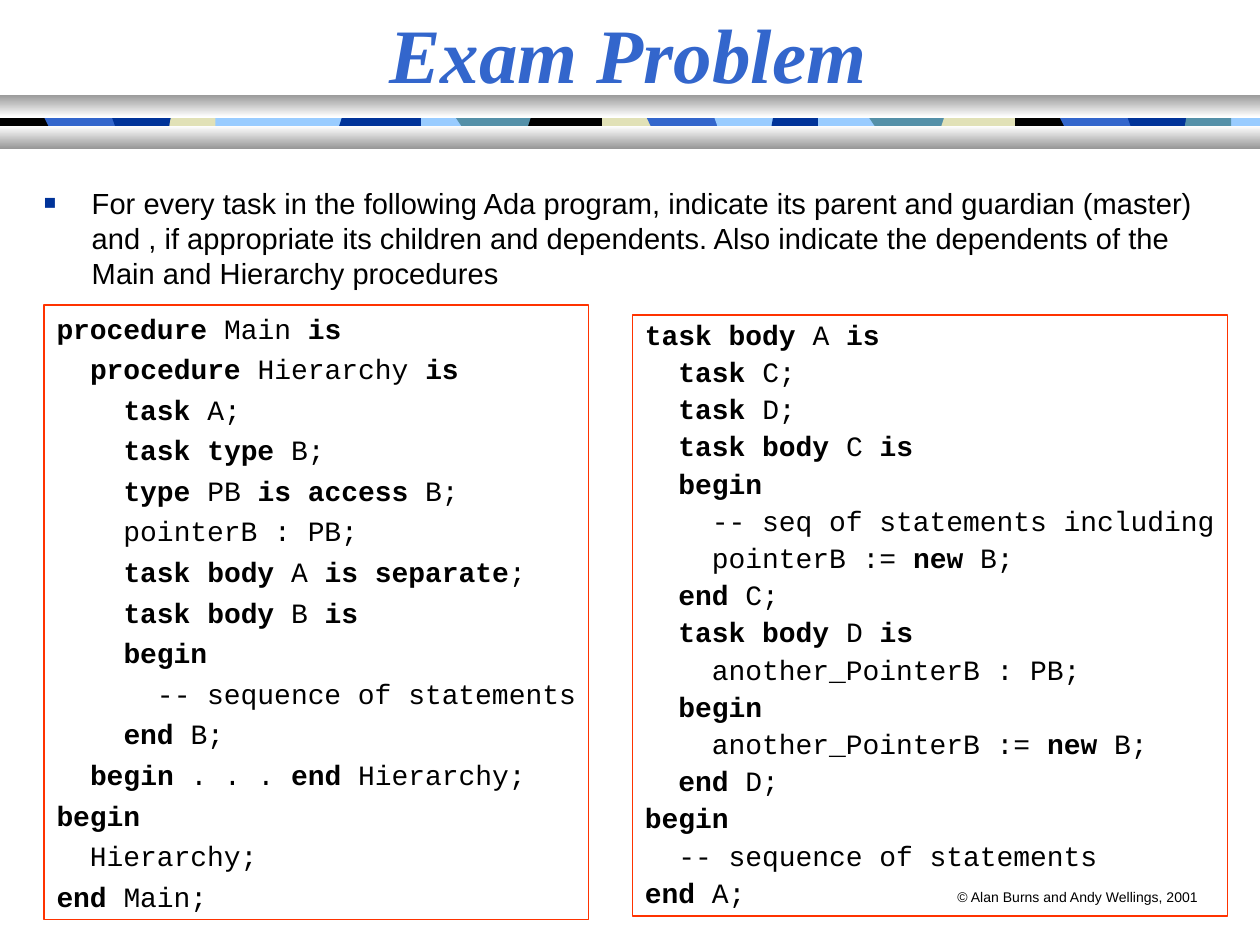
from dataclasses import dataclass
from lxml.etree import SubElement
from pptx import Presentation
from pptx.dml.color import RGBColor
from pptx.enum.shapes import MSO_SHAPE
from pptx.enum.text import MSO_ANCHOR, MSO_AUTO_SIZE, PP_ALIGN
from pptx.oxml.ns import qn
from pptx.util import Inches, Pt


@dataclass(frozen=True)
class Theme:
    black: str = "000000"
    white: str = "FFFFFF"
    gray: str = "989898"
    blue: str = "3366CC"
    navy: str = "003399"
    sky: str = "99CCFF"
    teal: str = "5490A8"
    sand: str = "E1E1B7"
    red: str = "FF3300"
    sans: str = "Arial"
    serif: str = "Times New Roman"
    mono: str = "Courier New"
    title: float = 44
    body: float = 16.65
    code: float = 16
    note: float = 8


THEME = Theme()

TASK = (
    "For every task in the following Ada program, indicate its parent and "
    "guardian (master) and , if appropriate its children and dependents. "
    "Also indicate the dependents of the Main and Hierarchy procedures"
)

MAIN = """*procedure *Main *is*
  *procedure *Hierarchy *is*
    *task *A;
    *task type *B;
    *type *PB *is access *B;
    pointerB : PB;
    *task body *A *is separate*;
    *task body *B *is*
    *begin*
      -- sequence of statements
    *end *B;
  *begin *. . . *end *Hierarchy;
*begin*
  Hierarchy;
*end *Main;"""

BODY = """*task body *A *is*
  *task *C;
  *task *D;
  *task body *C *is*
  *begin*
    -- seq of statements including
    pointerB := *new *B;
  *end *C;
  *task body *D *is*
    another_PointerB : PB;
  *begin*
    another_PointerB := *new *B;
  *end *D;
*begin*
  -- sequence of statements
*end *A;"""

BAND = (0.85, 1.13)
EDGES = [
    (-0.06, 0.13, 0.63),
    (0.62, 0.53, 1.22),
    (1.16, 1.16, 1.66),
    (1.47, 1.61, 2.1),
    (2.02, 2.12, 2.55),
    (2.53, 2.48, 2.87),
]
STRIPES = [
    (-1.16, 2, [THEME.black, THEME.blue, THEME.navy, THEME.sand]),
    (2.12, 0, [THEME.sky, THEME.navy]),
    (3.62, 0, [THEME.teal, THEME.black, THEME.sand, THEME.blue, THEME.sky, THEME.navy]),
    (6.9, 0, [THEME.teal, THEME.sand, THEME.black, THEME.blue, THEME.navy, THEME.teal]),
]


def rgb(code):
    return RGBColor.from_string(code)


def style(font, face, size, color=THEME.black, bold=False, italic=False):
    font.name = face
    font.size = Pt(size)
    font.color.rgb = rgb(color)
    font.bold = bold
    font.italic = italic


def add_stripe(slide, top, foot, end, color):
    high, low = BAND
    spots = [(top, high), (end, high), (end, low), (foot, low)]
    first, *rest = [(Inches(x), Inches(y)) for x, y in spots]
    pen = slide.shapes.build_freeform(*first)
    pen.add_line_segments(rest)
    shape = pen.convert_to_shape()
    shape.shadow.inherit = False
    shape.fill.solid()
    shape.fill.fore_color.rgb = rgb(color)
    shape.line.fill.background()


def add_band(slide):
    add_stripe(slide, 0.03, 0.03, 10, THEME.sky)
    for base, skip, colors in STRIPES:
        for (top, foot, end), color in zip(EDGES[skip:], colors):
            add_stripe(slide, base + top, base + foot, base + end, color)


def add_bar(slide, top, colors):
    bar = slide.shapes.add_shape(
        MSO_SHAPE.RECTANGLE, 0, Inches(top), Inches(10), Inches(0.18)
    )
    bar.shadow.inherit = False
    bar.line.fill.background()
    bar.fill.gradient()
    bar.fill.gradient_angle = 270
    for stop, spot, color in zip(bar.fill.gradient_stops, (0, 1), colors):
        stop.position = spot
        stop.color.rgb = rgb(color)


def set_title(slide, text):
    title = slide.shapes.title
    title.left, title.top = Inches(0), Inches(0)
    title.width, title.height = Inches(9.97), Inches(0.83)
    frame = title.text_frame
    frame.text = text
    frame.auto_size = MSO_AUTO_SIZE.NONE
    frame.vertical_anchor = MSO_ANCHOR.MIDDLE
    para = frame.paragraphs[0]
    para.alignment = PP_ALIGN.CENTER
    style(para.runs[0].font, THEME.serif, THEME.title, THEME.blue, True, True)


def add_text(slide, box, text, size, wrap=True):
    shape = slide.shapes.add_textbox(*map(Inches, box))
    frame = shape.text_frame
    frame.word_wrap = wrap
    frame.text = text
    para = frame.paragraphs[0]
    style(para.runs[0].font, THEME.sans, size)
    return para


def add_bullet(para):
    props = para._p.get_or_add_pPr()
    props.set("marL", str(Inches(0.38)))
    props.set("indent", str(Inches(-0.38)))
    tint = SubElement(props, qn("a:buClr"))
    SubElement(tint, qn("a:srgbClr"), val=THEME.navy)
    SubElement(props, qn("a:buSzPct"), val="70000")
    SubElement(props, qn("a:buFont"), typeface=THEME.sans)
    SubElement(props, qn("a:buChar"), char="■")


def add_code(slide, box, code, pitch):
    shape = slide.shapes.add_shape(MSO_SHAPE.RECTANGLE, *map(Inches, box))
    shape.shadow.inherit = False
    shape.fill.background()
    shape.line.color.rgb = rgb(THEME.red)
    shape.line.width = Pt(0.75)
    frame = shape.text_frame
    frame.word_wrap = False
    frame.vertical_anchor = MSO_ANCHOR.TOP
    for row, line in enumerate(code.splitlines()):
        para = frame.add_paragraph() if row else frame.paragraphs[0]
        para.alignment = PP_ALIGN.LEFT
        para.line_spacing = pitch
        para.space_before = Pt(4 if row else 0)
        for index, part in enumerate(line.split("*")):
            if part:
                run = para.add_run()
                run.text = part
                style(run.font, THEME.mono, THEME.code, bold=index % 2 == 1)


def main():
    deck = Presentation()
    deck.slide_width, deck.slide_height = Inches(10), Inches(7.5)
    slide = deck.slides.add_slide(deck.slide_layouts[5])
    add_band(slide)
    add_bar(slide, 0.75, (THEME.gray, THEME.white))
    add_bar(slide, 1, (THEME.white, THEME.gray))
    note = "© Alan Burns and Andy Wellings, 2001"
    add_text(slide, (7.5, 7, 2.12, 0.24), note, THEME.note, wrap=False)
    set_title(slide, "Exam Problem")
    para = add_text(slide, (0.25, 1.42, 9.33, 1), TASK, THEME.body)
    add_bullet(para)
    add_code(slide, (0.35, 2.42, 4.32, 4.88), MAIN, 1.0)
    add_code(slide, (5.02, 2.5, 4.72, 4.77), BODY, 0.9)
    deck.save("out.pptx")


if __name__ == "__main__":
    main()
